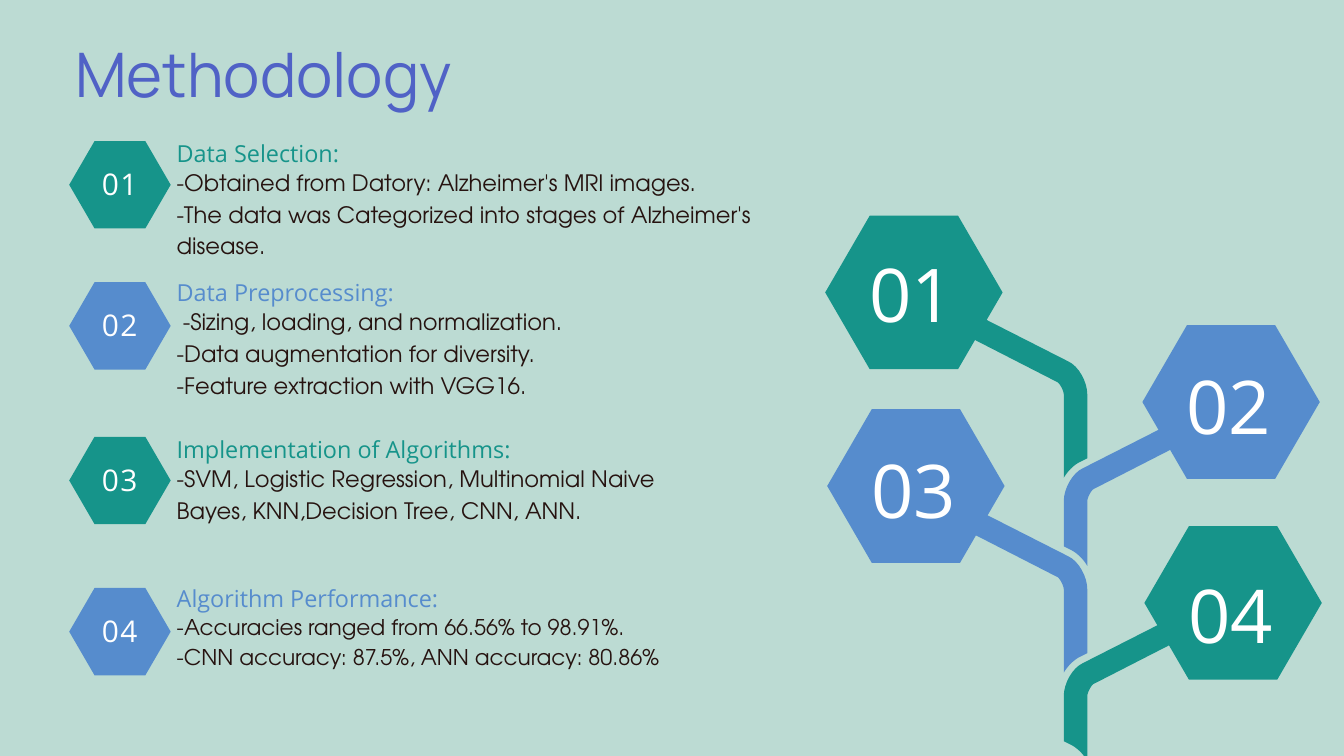
import pptx
import pptx.util
import pptx.dml.color
import pptx.enum.shapes
import pptx.enum.text

COLUMNS, ROWS = 80, 45
CELL = pptx.util.Inches(20) / COLUMNS
TEAL, BLUE, WHITE = "16948A", "568CCD", "FFFFFF"
INK, INDIGO, MINT = "261310", "5062C6", "BCDBD3"
ALIGN = pptx.enum.text.PP_ALIGN
ANCHOR = pptx.enum.text.MSO_ANCHOR

BRANCH_WIDTH = 6.84
BRANCH_START = (6.84, 4.48)
BRANCH_STEM = [
    [(6.84, 8.28)],
    [(6.36, 8.52)],
    [(6, 8.72), (5.68, 9.04), (5.44, 9.44)],
]
BRANCH_ARM = [
    [(5.44, 4.48)],
    [(5.44, 4.28), (5.24, 3.88), (5.08, 3.76)],
    [(0, 1.16)],
    [(0.36, 0.84), (0.6, 0.44), (0.76, 0)],
    [(5.72, 2.52)],
    [(6.32, 2.8), (6.84, 3.72), (6.84, 4.48)],
]

STEPS = [
    ("Data Selection:", 8, 0.4, 36.16, 24.2, 33.8, [
        "-Obtained from Datory: Alzheimer's MRI images.",
        "-The data was Categorized into stages of Alzheimer's disease."]),
    ("Data Preprocessing:", 16.28, 0.52, 29.44, 24.2, 33.9, [
        " -Sizing, loading, and normalization.",
        "-Data augmentation for diversity.",
        "-Feature extraction with VGG16."]),
    ("Implementation of Algorithms:", 25.6, 0.4, 29.44, 24.2, 33.9, [
        "-SVM, Logistic Regression, Multinomial Naive Bayes, "
        "KNN,Decision Tree, CNN, ANN."]),
    ("Algorithm Performance:", 34.48, 0.52, 40.48, 23.2, 32.5, [
        "-Accuracies ranged from 66.56% to 98.91%.",
        "-CNN accuracy: 87.5%, ANN accuracy: 80.86%"]),
]

NODES = [
    (49.12, 12.84, 1.08, TEAL, 57.88, 19, False),
    (68, 19.36, 1.24, BLUE, 63.32, 25.36, True),
    (49.24, 24.36, 1.24, BLUE, 57.88, 30.6, False),
    (68.12, 31.32, 1.68, TEAL, 63.32, 36.96, True),
]


def cells(*values):
    return [pptx.util.Emu(round(value * CELL)) for value in values]


def color(text):
    return pptx.dml.color.RGBColor.from_string(text)


def paint(shape, fill):
    shape.shadow.inherit = False
    shape.fill.solid()
    shape.fill.fore_color.rgb = color(fill)
    shape.line.fill.background()


def add_text(page, box, lines, font, size, leading, ink,
             align=ALIGN.LEFT, anchor=ANCHOR.TOP, spacing=0):
    frame = page.shapes.add_textbox(*cells(*box)).text_frame
    frame.word_wrap = True
    frame.vertical_anchor = anchor
    frame.margin_left = frame.margin_right = 0
    frame.margin_top = frame.margin_bottom = 0
    for index, line in enumerate(lines):
        para = frame.add_paragraph() if index else frame.paragraphs[0]
        para.alignment = align
        para.line_spacing = pptx.util.Pt(leading)
        span = para.add_run()
        span.text = line
        span.font.name = font
        span.font.size = pptx.util.Pt(size)
        span.font.color.rgb = color(ink)
        if spacing:
            span.font._element.set("spc", str(spacing))


def add_hexagon(page, box, fill):
    hexagon = page.shapes.add_shape(
        pptx.enum.shapes.MSO_SHAPE.HEXAGON, *cells(*box))
    hexagon.adjustments[0] = 0.29
    paint(hexagon, fill)


def bezier(points, steps=8):
    for step in range(1, steps + 1):
        t = step / steps
        weights = ((1 - t) ** 3, 3 * t * (1 - t) ** 2,
                   3 * t ** 2 * (1 - t), t ** 3)
        yield tuple(sum(weight * point[axis]
                        for weight, point in zip(weights, points))
                    for axis in (0, 1))


def add_branch(page, left, top, fill, mirrored):
    lift = 1.12 if mirrored else 0
    stem = [[(x, y - lift) for x, y in part] for part in BRANCH_STEM]
    outline = [BRANCH_START]
    for part in stem + BRANCH_ARM:
        outline += part if len(part) == 1 else bezier([outline[-1]] + part)
    points = [cells(left + (BRANCH_WIDTH - x if mirrored else x), top + y)
              for x, y in outline]
    builder = page.shapes.build_freeform(*points[0])
    builder.add_line_segments(points[1:], close=True)
    paint(builder.convert_to_shape(), fill)


def add_node(page, box, number, label_drop, fill):
    left, top, width, height = box
    add_hexagon(page, box, fill)
    add_text(page, (left + 0.64, top + label_drop, 9, 5.96), [number],
             "Open Sans", 79.4, 111.1, WHITE, ALIGN.CENTER)


def add_step(page, box, number, title, lines, hexagon_drop, size, leading, fill):
    left, top, width, height = box
    hexagon_top = top + hexagon_drop
    add_hexagon(page, (left, hexagon_top, 6.04, 5.2), fill)
    add_text(page, (left + 0.84, hexagon_top - 0.44, 4.32, 5.6), [number],
             "Open Sans", 32, 44.8, WHITE, ALIGN.CENTER, ANCHOR.MIDDLE, 160)
    add_text(page, (left + 6.4, top, width, 1.88), [title],
             "Open Sans", 25.1, 35.1, fill)
    add_text(page, (left + 6.4, top + 1.8, width, height - 1.8), lines,
             "TeX Gyre Adventor", size, leading, INK)


def add_steps(page, left):
    for index, (title, top, drop, width, size, leading, lines) in enumerate(STEPS):
        add_step(page, (left, top, width, 7.3), f"{index + 1:02}", title, lines,
                 drop, size, leading, (TEAL, BLUE)[index % 2])


def add_tree(page):
    for index, node in enumerate(NODES):
        left, top, label_drop, fill, branch_left, branch_top, mirrored = node
        add_branch(page, branch_left, branch_top, fill, mirrored)
        add_node(page, (left, top, 10.56, 9.14), f"{index + 1:02}",
                 label_drop, fill)


def main():
    deck = pptx.Presentation()
    deck.slide_width, deck.slide_height = cells(COLUMNS, ROWS)
    page = deck.slides.add_slide(deck.slide_layouts[6])
    page.background.fill.solid()
    page.background.fill.fore_color.rgb = color(MINT)
    add_tree(page)
    add_text(page, (4.48, 1.44, 33.24, 5.16), ["Methodology"],
             "Manrope", 65.8, 92.2, INDIGO)
    add_steps(page, 4.12)
    deck.save("out.pptx")


if __name__ == "__main__":
    main()
